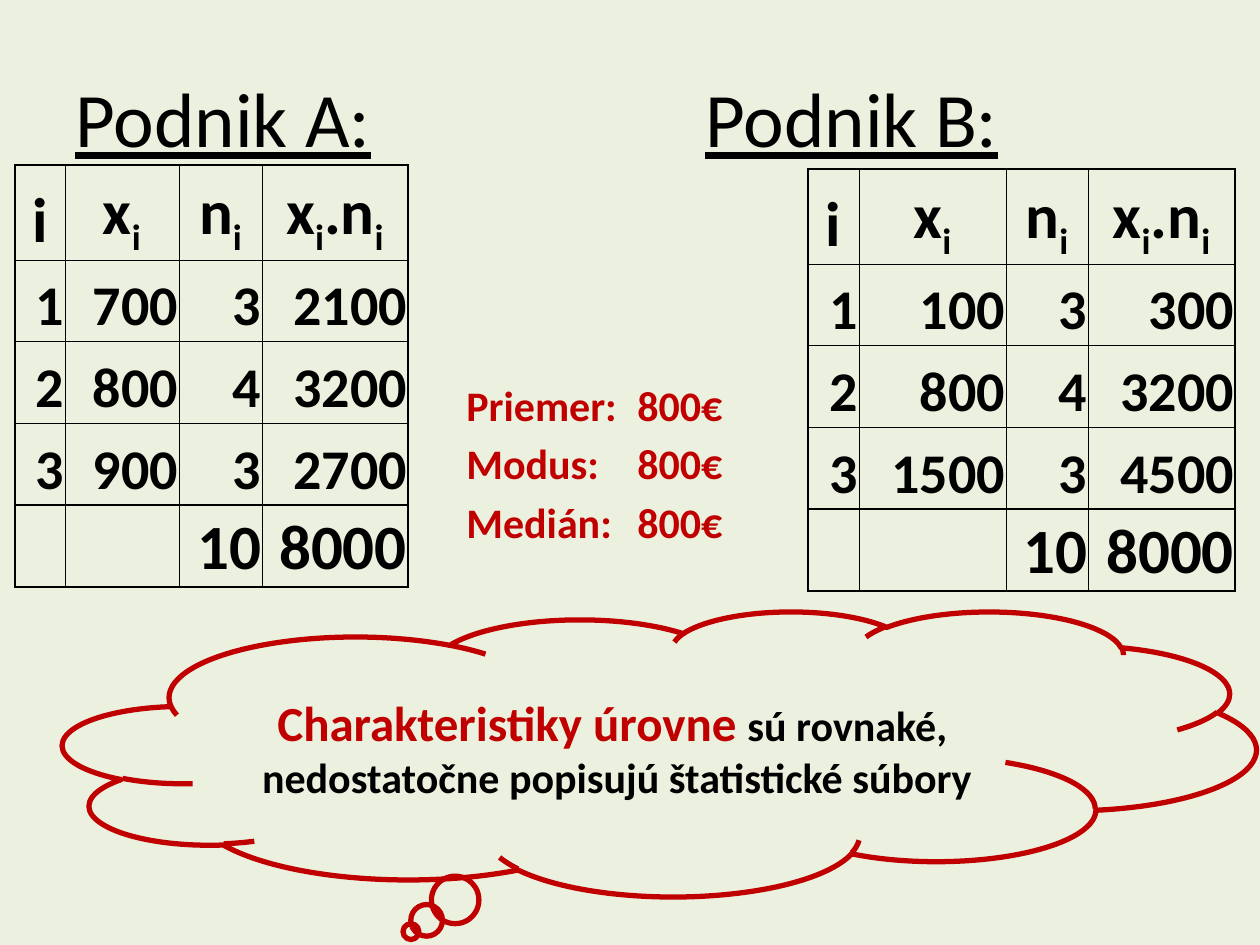
"""Builds a slide comparing wages in two companies with equal measures of level."""
from lxml.etree import SubElement
from pptx import Presentation
from pptx.dml.color import RGBColor
from pptx.enum.shapes import MSO_SHAPE as Shape
from pptx.enum.text import MSO_ANCHOR as Anchor, PP_ALIGN as Align
from pptx.oxml.ns import qn
from pptx.util import Emu, Pt

COLORS = {"background": "EBF1DE", "text": "000000", "accent": "C00000"}
HEADER = ["i", "x|i", "n|i", "x|i|.n|i"]
ROW_HEIGHTS = [95, 81, 82, 82, 82]


def px(length):
    return Emu(round(length * 914400 / 126))


def rgb(name):
    return RGBColor.from_string(COLORS[name])


class SlideBuilder:
    def __init__(self, slide, font="Calibri"):
        self.slide = slide
        self.font = font
        fill = slide.background.fill
        fill.solid()
        fill.fore_color.rgb = rgb("background")

    def run(self, paragraph, text, size, color="text", bold=True, underline=False):
        run = paragraph.add_run()
        run.text = text
        font = run.font
        font.name, font.size, font.bold = self.font, Pt(size), bold
        font.underline = underline
        font.color.rgb = rgb(color)
        return run

    def tab(self, paragraph, position):
        stops = SubElement(paragraph._p.get_or_add_pPr(), qn("a:tabLst"))
        SubElement(stops, qn("a:tab"), pos=str(px(position)), algn="l")

    def text_frame(self, left, top, width, height, anchor=Anchor.TOP):
        box = self.slide.shapes.add_textbox(px(left), px(top), px(width), px(height))
        frame = box.text_frame
        frame.word_wrap = True
        frame.vertical_anchor = anchor
        return frame

    def title(self, first, second, left, top, width, height, tab):
        paragraph = self.text_frame(left, top, width, height, Anchor.MIDDLE).paragraphs[0]
        self.tab(paragraph, tab)
        for text in (first, "\t", second):
            self.run(paragraph, text, 44, bold=False, underline=text != "\t")

    def measures(self, lines, left, top, width, height, tab):
        frame = self.text_frame(left, top, width, height)
        for index, (label, value) in enumerate(lines):
            paragraph = frame.add_paragraph() if index else frame.paragraphs[0]
            paragraph.space_before = Pt(4.8 if index else 0)
            self.tab(paragraph, tab)
            self.run(paragraph, f"{label}:\t{value}", 24, "accent")

    def borders(self, cell, widths):
        properties = cell._tc.get_or_add_tcPr()
        for index, (side, width) in enumerate(zip("LRTB", widths)):
            line = SubElement(properties, qn(f"a:ln{side}"), w=str(Pt(width)))
            properties.remove(line)
            properties.insert(index, line)
            fill = SubElement(line, qn("a:solidFill"))
            SubElement(fill, qn("a:srgbClr"), val=COLORS["text"])

    def frequency_table(self, rows, left, top, widths):
        frame = self.slide.shapes.add_table(
            len(rows), len(widths), px(left), px(top), px(sum(widths)), px(sum(ROW_HEIGHTS)))
        table = frame.table
        table.first_row = table.horz_banding = False
        for column, width in zip(table.columns, widths):
            column.width = px(width)
        last_row, last_column = len(rows) - 1, len(widths) - 1
        for r, values in enumerate(rows):
            table.rows[r].height = px(ROW_HEIGHTS[r])
            for c, value in enumerate(values):
                cell = table.cell(r, c)
                cell.fill.background()
                cell.vertical_anchor = Anchor.BOTTOM
                cell.margin_left = cell.margin_right = cell.margin_top = px(1)
                cell.margin_bottom = 0
                thick = (c == 0, c == last_column, r in (0, last_row), r >= last_row - 1)
                self.borders(cell, [1 if edge else 0.5 for edge in thick])
                paragraph = cell.text_frame.paragraphs[0]
                paragraph.alignment = Align.RIGHT if r else Align.CENTER
                size = 36 if r in (0, last_row) else 32
                for part, text in enumerate(value.split("|") if value else []):
                    run = self.run(paragraph, text, size)
                    if part % 2:
                        run.font._element.set("baseline", "-25000")

    def cloud(self, lines, left, top, width, height):
        cloud = self.slide.shapes.add_shape(
            Shape.CLOUD_CALLOUT, px(left), px(top), px(width), px(height))
        cloud.shadow.inherit = False
        cloud.fill.background()
        cloud.line.color.rgb = rgb("accent")
        cloud.line.width = Pt(3)
        frame = cloud.text_frame
        frame.word_wrap = True
        frame.vertical_anchor = Anchor.MIDDLE
        for index, runs in enumerate(lines):
            paragraph = frame.add_paragraph() if index else frame.paragraphs[0]
            paragraph.alignment = Align.CENTER
            for text, size, color in runs:
                self.run(paragraph, text, size, color)


def main():
    presentation = Presentation()
    presentation.slide_width, presentation.slide_height = px(1260), px(945)
    builder = SlideBuilder(presentation.slides.add_slide(presentation.slide_layouts[6]))
    builder.title("Podnik A:", "Podnik B:", 63, 38, 1134, 158, tab=630)
    builder.measures(
        [("Priemer", "800€"), ("Modus", "800€"), ("Medián", "800€")],
        454, 373, 318, 199, tab=171)
    company_a = [
        HEADER,
        ["1", "700", "3", "2100"],
        ["2", "800", "4", "3200"],
        ["3", "900", "3", "2700"],
        ["", "", "10", "8000"],
    ]
    company_b = [
        HEADER,
        ["1", "100", "3", "300"],
        ["2", "800", "4", "3200"],
        ["3", "1500", "3", "4500"],
        ["", "", "10", "8000"],
    ]
    builder.frequency_table(company_a, 15, 165, [50, 114, 83, 146])
    builder.frequency_table(company_b, 808, 169, [51, 147, 82, 147])
    builder.cloud(
        [[("Charakteristiky úrovne ", 28, "accent"), ("sú rovnaké, ", 24, "text")],
         [("nedostatočne popisujú štatistické súbory", 24, "text")]],
        63, 611, 1193, 285)
    presentation.save("out.pptx")


if __name__ == "__main__":
    main()
